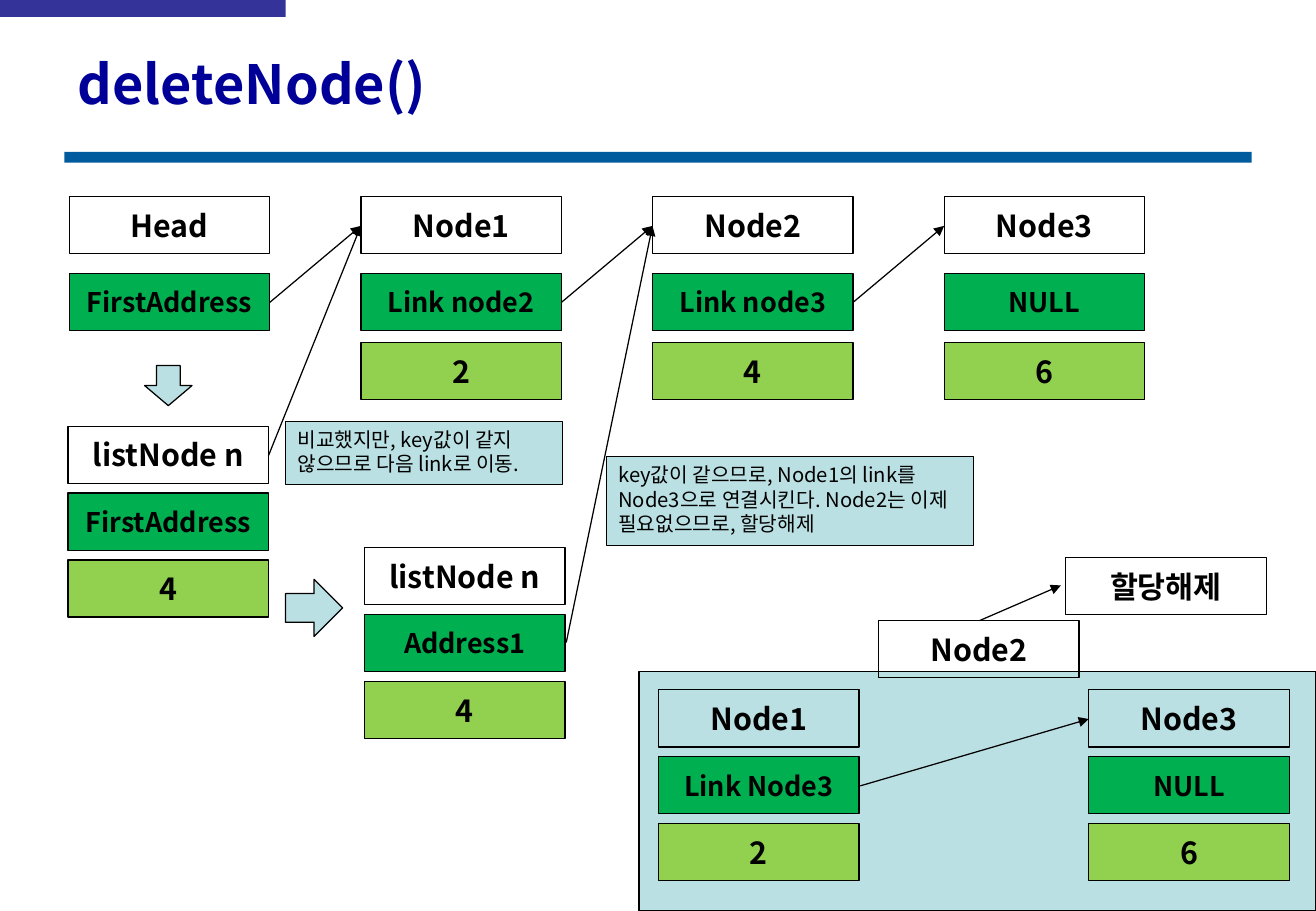
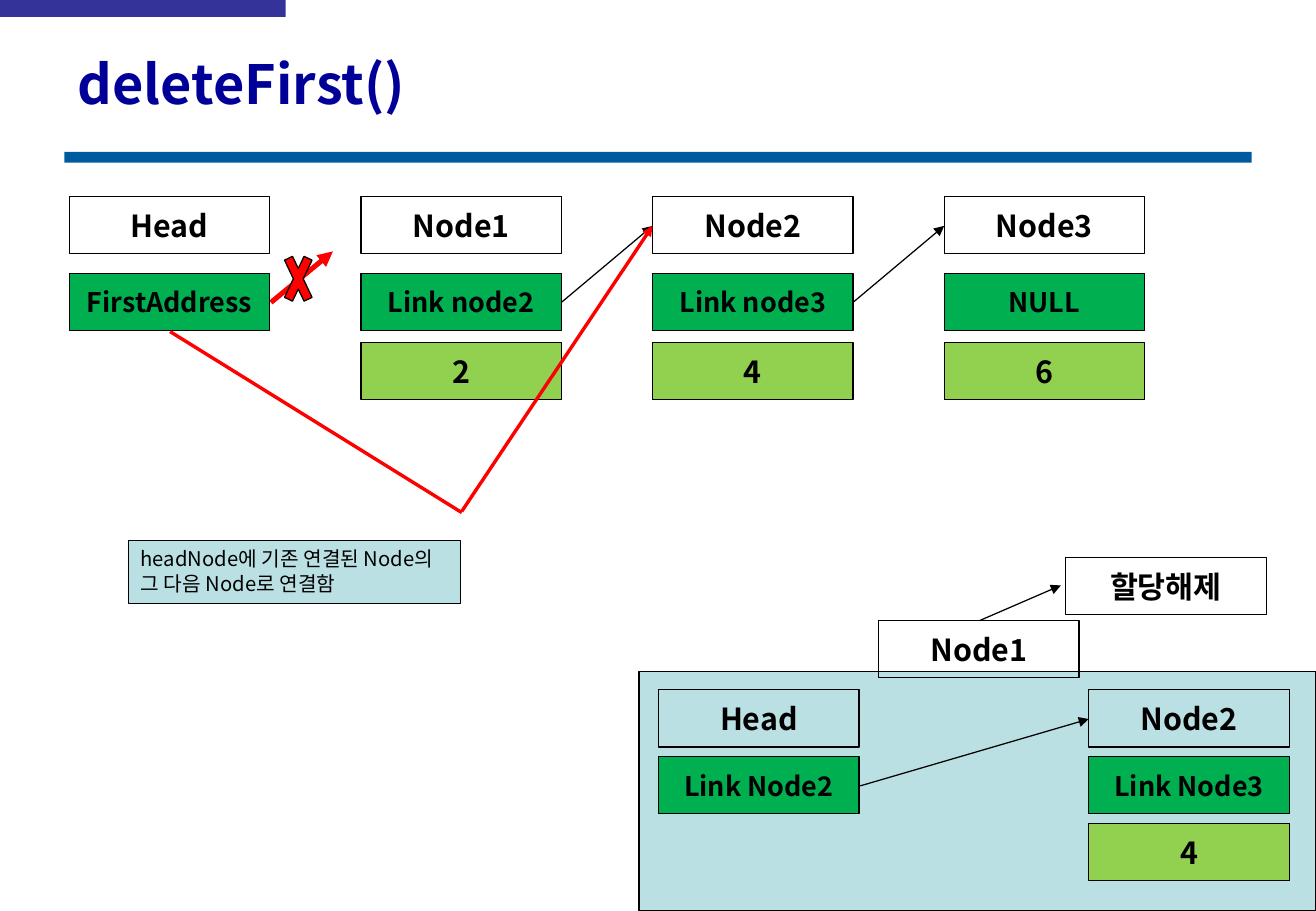
from dataclasses import dataclass

from lxml.etree import SubElement
from pptx import Presentation
from pptx.dml.color import RGBColor
from pptx.enum.shapes import MSO_CONNECTOR, MSO_SHAPE
from pptx.enum.text import MSO_ANCHOR as Anchor, PP_ALIGN as Align
from pptx.oxml.ns import qn
from pptx.util import Inches, Pt

FONT = "Noto Sans CJK KR"
BLACK, RED, PALE = "000000", "FF0000", "BBE0E3"
TITLE_BLUE, RULE_BLUE, BAND_BLUE = "000099", "005A9E", "333399"
GREEN, LIME = "00B050", "92D050"
BOX_WIDTH, BOX_HEIGHT = 1.65, 0.47
CHAIN_LEFT, CHAIN_PITCH, CHAIN_TOP = 0.57, 2.4, 1.62
CHAIN_ROWS = (0, 0.63, 1.2)
STACK_ROWS = (0, 0.55, 1.1)
ROW_STYLES = ((None, 18), (GREEN, 16), (LIME, 18))


@dataclass
class Stack:
    left: float
    top: float
    labels: tuple[str, ...]
    rows: tuple[float, ...] = STACK_ROWS


@dataclass
class Line:
    start: tuple[float, float]
    end: tuple[float, float]
    color: str = BLACK
    width: float = 0.75
    arrow: bool = True


@dataclass
class Block:
    kind: MSO_SHAPE
    left: float
    top: float
    width: float
    height: float
    fill: str | None = PALE
    outline: str | None = BLACK


@dataclass
class Note:
    block: Block
    text: str


@dataclass
class Diagram:
    title: str
    first_link: Line
    freed: str
    stacks: list[Stack]
    notes: list[Note]
    lines: list[Line]
    marks: list[Block]


CHAIN = [
    Stack(CHAIN_LEFT + CHAIN_PITCH * index, CHAIN_TOP, labels, CHAIN_ROWS)
    for index, labels in enumerate((
        ("Head", "FirstAddress"),
        ("Node1", "Link node2", "2"),
        ("Node2", "Link node3", "4"),
        ("Node3", "NULL", "6"),
    ))
]
CHAIN_LINKS = [
    Line((2.22 + CHAIN_PITCH * index, 2.49), (2.97 + CHAIN_PITCH * index, 1.86))
    for index in range(3)
]
PANEL = Block(MSO_SHAPE.RECTANGLE, 5.26, 5.53, 5.57, 1.97)
BANDS = (
    Block(MSO_SHAPE.RECTANGLE, 0.53, 1.25, 9.77, 0.09, RULE_BLUE, None),
    Block(MSO_SHAPE.RECTANGLE, 0, 0, 2.35, 0.14, BAND_BLUE, None),
)
DIAGRAMS = (
    Diagram(
        title="deleteNode()",
        first_link=CHAIN_LINKS[0],
        freed="Node2",
        stacks=[
            Stack(0.56, 3.51, ("listNode n", "FirstAddress", "4")),
            Stack(3, 4.51, ("listNode n", "Address1", "4")),
            Stack(5.42, 5.68, ("Node1", "Link Node3", "2")),
            Stack(8.96, 5.68, ("Node3", "NULL", "6")),
        ],
        notes=[
            Note(Block(MSO_SHAPE.RECTANGLE, 2.35, 3.47, 2.28, 0.52),
                 "비교했지만, key값이 같지 않으므로 다음 link로 이동."),
            Note(Block(MSO_SHAPE.RECTANGLE, 4.99, 3.76, 3.02, 0.73),
                 "key값이 같으므로, Node1의 link를 Node3으로 연결시킨다. "
                 "Node2는 이제 필요없으므로, 할당해제"),
        ],
        lines=[Line((2.21, 3.75), (2.97, 1.86)), Line((4.66, 5.29), (5.37, 1.86))],
        marks=[
            Block(MSO_SHAPE.DOWN_ARROW, 1.19, 3.01, 0.39, 0.33),
            Block(MSO_SHAPE.RIGHT_ARROW, 2.35, 4.77, 0.47, 0.47),
        ],
    ),
    Diagram(
        title="deleteFirst()",
        first_link=Line((2.23, 2.49), (2.74, 2.07), RED, 3),
        freed="Node1",
        stacks=[
            Stack(5.42, 5.68, ("Head", "Link Node2")),
            Stack(8.96, 5.68, ("Node2", "Link Node3", "4")),
        ],
        notes=[
            Note(Block(MSO_SHAPE.RECTANGLE, 1.06, 4.45, 2.73, 0.52),
                 "headNode에 기존 연결된 Node의 그 다음 Node로 연결함"),
        ],
        lines=[
            Line((1.4, 2.73), (3.8, 4.22), RED, 2, arrow=False),
            Line((3.8, 4.21), (5.37, 1.86), RED, 2),
        ],
        marks=[Block(MSO_SHAPE.MATH_MULTIPLY, 2.3, 1.97, 0.31, 0.65, RED)],
    ),
)


def rgb(color: str) -> RGBColor:
    return RGBColor.from_string(color)


def write_text(shape, text: str, size: float, color: str, bold: bool, align: Align, anchor: Anchor) -> None:
    frame = shape.text_frame
    frame.text = text
    frame.word_wrap = True
    frame.vertical_anchor = anchor
    paragraph = frame.paragraphs[0]
    paragraph.alignment = align
    for run in paragraph.runs:
        font = run.font
        font.size, font.bold, font.name = Pt(size), bold, FONT
        font.color.rgb = rgb(color)
        SubElement(font._element, qn("a:ea"), typeface=FONT)


def draw_block(slide, block: Block):
    shape = slide.shapes.add_shape(
        block.kind, Inches(block.left), Inches(block.top), Inches(block.width), Inches(block.height))
    shape.shadow.inherit = False
    if block.fill:
        shape.fill.solid()
        shape.fill.fore_color.rgb = rgb(block.fill)
    else:
        shape.fill.background()
    if block.outline:
        shape.line.color.rgb = rgb(block.outline)
        shape.line.width = Pt(0.75)
    else:
        shape.line.fill.background()
    return shape


def draw_stack(slide, stack: Stack) -> None:
    for label, offset, (fill, size) in zip(stack.labels, stack.rows, ROW_STYLES):
        block = Block(MSO_SHAPE.RECTANGLE, stack.left, stack.top + offset, BOX_WIDTH, BOX_HEIGHT, fill)
        write_text(draw_block(slide, block), label, size, BLACK, True, Align.CENTER, Anchor.MIDDLE)


def draw_note(slide, note: Note) -> None:
    write_text(draw_block(slide, note.block), note.text, 12, BLACK, False, Align.LEFT, Anchor.TOP)


def draw_line(slide, line: Line) -> None:
    points = [Inches(value) for value in line.start + line.end]
    connector = slide.shapes.add_connector(MSO_CONNECTOR.STRAIGHT, *points)
    connector.line.color.rgb = rgb(line.color)
    connector.line.width = Pt(line.width)
    if line.arrow:
        SubElement(connector.line._get_or_add_ln(), qn("a:tailEnd"), type="triangle")
    SubElement(connector.element.spPr, qn("a:effectLst"))


def style_layout(layout, slide) -> None:
    title = layout.placeholders[0]
    title.left, title.top = Inches(0.54), Inches(0.3)
    title.width, title.height = Inches(9.75), Inches(0.77)
    for band in BANDS:
        layout.shapes.element.append(draw_block(slide, band).element)


def draw_diagram(slide, diagram: Diagram) -> None:
    write_text(slide.shapes.title, diagram.title, 32, TITLE_BLUE, True, Align.LEFT, Anchor.MIDDLE)
    draw_block(slide, PANEL)
    freed_stacks = [Stack(7.23, 5.11, (diagram.freed,)), Stack(8.77, 4.59, ("할당해제",))]
    for stack in CHAIN + diagram.stacks + freed_stacks:
        draw_stack(slide, stack)
    for note in diagram.notes:
        draw_note(slide, note)
    result_lines = [Line((7.08, 6.47), (8.96, 5.92)), Line((8.06, 5.11), (8.73, 4.82))]
    for line in [diagram.first_link] + CHAIN_LINKS[1:] + result_lines + diagram.lines:
        draw_line(slide, line)
    for mark in diagram.marks:
        draw_block(slide, mark)


def main() -> None:
    presentation = Presentation()
    presentation.slide_width, presentation.slide_height = Inches(10.83), Inches(7.5)
    layout = presentation.slide_layouts.get_by_name("Title Only")
    slides = [presentation.slides.add_slide(layout) for _ in DIAGRAMS]
    style_layout(layout, slides[0])
    for slide, diagram in zip(slides, DIAGRAMS):
        draw_diagram(slide, diagram)
    presentation.save("out.pptx")


if __name__ == "__main__":
    main()
